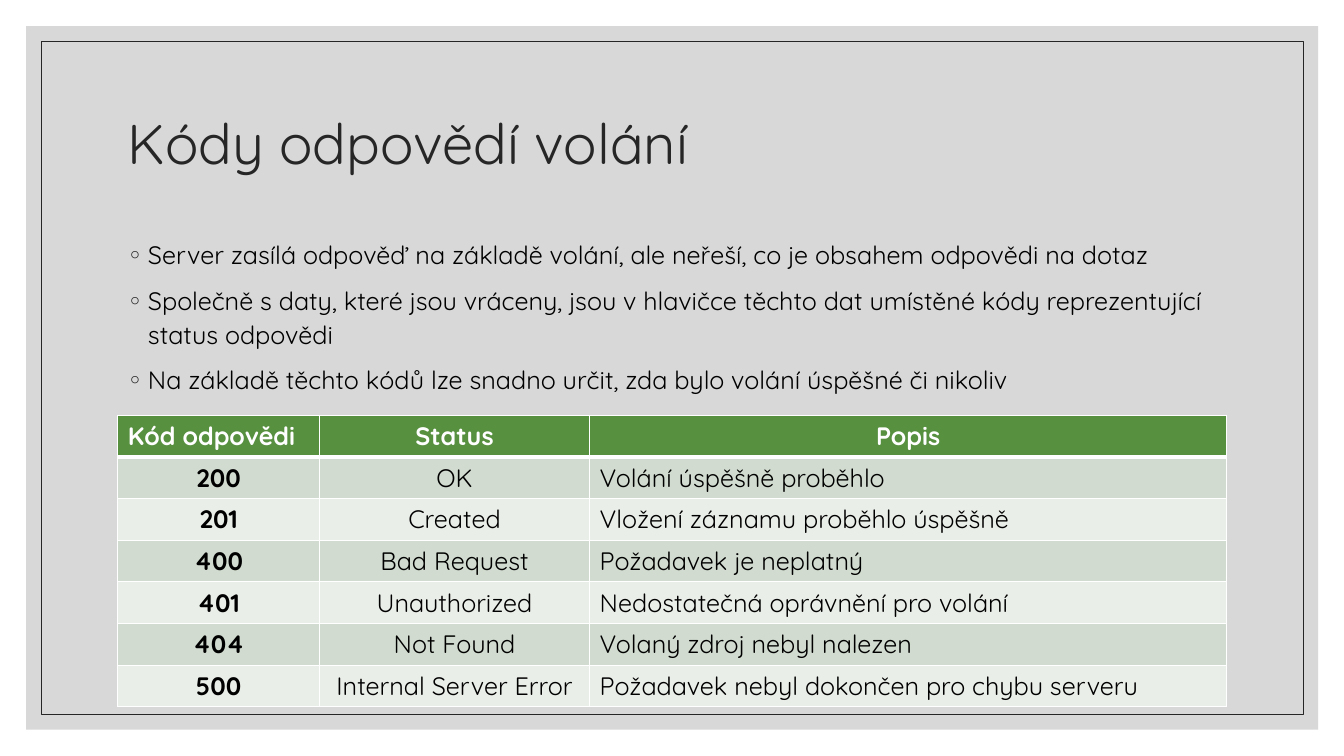
"""Build a slide on the response codes of service calls."""
from lxml import etree
from pptx import Presentation
from pptx.dml.color import RGBColor
from pptx.enum.shapes import MSO_SHAPE
from pptx.enum.text import MSO_ANCHOR, PP_ALIGN
from pptx.oxml.ns import qn
from pptx.util import Cm, Pt

RECT = MSO_SHAPE.RECTANGLE
TOP, MID = MSO_ANCHOR.TOP, MSO_ANCHOR.MIDDLE
LEFT, MIDST = PP_ALIGN.LEFT, PP_ALIGN.CENTER

COLORS = {
    "panel": "BFBFBF", "dark": "262626", "text": "000000", "white": "FFFFFF",
    "head": "57903F", "odd": "D1DBCF", "even": "EAEEE8",
}
POINTS = [
    "Server zasílá odpověď na základě volání, ale neřeší, co je obsahem odpovědi na dotaz",
    "Společně s daty, které jsou vráceny, jsou v hlavičce těchto dat umístěné kódy "
    "reprezentující status odpovědi",
    "Na základě těchto kódů lze snadno určit, zda bylo volání úspěšné či nikoliv",
]
CODES = [
    ("Kód odpovědi", "Status", "Popis"),
    ("200", "OK", "Volání úspěšně proběhlo"),
    ("201", "Created", "Vložení záznamu proběhlo úspěšně"),
    ("400", "Bad Request", "Požadavek je neplatný"),
    ("401", "Unauthorized", "Nedostatečná oprávnění pro volání"),
    ("404", "Not Found", "Volaný zdroj nebyl nalezen"),
    ("500", "Internal Server Error", "Požadavek nebyl dokončen pro chybu serveru"),
]


def add_xml(parent, tag, **attrs):
    node = etree.SubElement(parent, qn(tag))
    for key, value in attrs.items():
        node.set(key, str(value))
    return node


class Deck:
    font = "Quicksand"

    def __init__(self, slide):
        self.slide = slide

    def color(self, name):
        return RGBColor.from_string(COLORS[name])

    def frame(self, box, fill=None, alpha=100, line=None):
        shape = self.slide.shapes.add_shape(RECT, *map(Cm, box))
        shape.shadow.inherit = False
        if fill:
            shape.fill.solid()
            shape.fill.fore_color.rgb = self.color(fill)
            tint = shape.fill._xPr.find(".//" + qn("a:srgbClr"))
            add_xml(tint, "a:alpha", val=alpha * 1000)
        else:
            shape.fill.background()
        if line:
            shape.line.color.rgb = self.color(line)
            shape.line.width = Pt(0.5)
        else:
            shape.line.fill.background()

    def run(self, para, text, size, color, bold=False):
        run = para.add_run()
        run.text = text
        run.font.name = self.font
        run.font.size = Pt(size)
        run.font.bold = bold
        run.font.color.rgb = self.color(color)

    def text(self, box, lines, size, color, anchor=TOP, space=1.0, bullet=None):
        frame = self.slide.shapes.add_textbox(*map(Cm, box)).text_frame
        frame.word_wrap = True
        frame.vertical_anchor = anchor
        for i, line in enumerate(lines):
            para = frame.add_paragraph() if i else frame.paragraphs[0]
            if bullet:
                self.bullet(para, bullet)
            para.line_spacing = space
            para.space_before = Pt(9 if i else 0)
            self.run(para, line, size, color)

    def bullet(self, para, mark):
        props = para._p.get_or_add_pPr()
        props.set("marL", str(Cm(0.51)))
        props.set("indent", str(-Cm(0.51)))
        add_xml(add_xml(props, "a:buClr"), "a:srgbClr", val=COLORS["dark"])
        add_xml(props, "a:buFont", typeface=self.font)
        add_xml(props, "a:buChar", char=mark)

    def border(self, cell, row):
        props = cell._tc.get_or_add_tcPr()
        thick = {0: "B", 1: "T"}.get(row)
        for i, side in enumerate("LRTB"):
            width = Pt(3 if side == thick else 1)
            line = add_xml(props, "a:ln" + side, w=width)
            add_xml(add_xml(line, "a:solidFill"), "a:srgbClr", val=COLORS["white"])
            props.insert(i, line)

    def table(self, left, top, widths, height, rows):
        shape = self.slide.shapes.add_table(
            len(rows), len(widths), Cm(left), Cm(top),
            Cm(sum(widths)), Cm(height * len(rows)))
        table = shape.table
        table.horz_banding = False
        for col, width in zip(table.columns, widths):
            col.width = Cm(width)
        for r, row in enumerate(rows):
            table.rows[r].height = Cm(height)
            fill = "head" if r == 0 else "odd" if r % 2 else "even"
            for c, text in enumerate(row):
                cell = table.cell(r, c)
                cell.fill.solid()
                cell.fill.fore_color.rgb = self.color(fill)
                cell.vertical_anchor = MID if r and c == 0 else TOP
                self.border(cell, r)
                para = cell.text_frame.paragraphs[0]
                plain = (r == 0 and c == 0) or (r > 0 and c == 2)
                para.alignment = LEFT if plain else MIDST
                self.run(para, text, 18, "text" if r else "white", r == 0 or c == 0)


def main():
    prs = Presentation()
    prs.slide_width, prs.slide_height = Cm(33.87), Cm(19.05)
    deck = Deck(prs.slides.add_slide(prs.slide_layouts[6]))
    deck.frame((0.66, 0.66, 32.56, 17.73), fill="panel", alpha=60)
    deck.frame((1.04, 1.04, 31.8, 16.97), line="dark")
    deck.text((2.97, 1.78, 27.94, 3.81), ["Kódy odpovědí volání"], 40, "dark",
              anchor=MID, space=0.9)
    deck.text((2.97, 5.84, 27.94, 10.69), POINTS, 18, "text", space=1.1, bullet="◦")
    deck.table(2.97, 10.46, (5.08, 6.81, 16.05), 1.05, CODES)
    prs.save("out.pptx")


if __name__ == "__main__":
    main()
